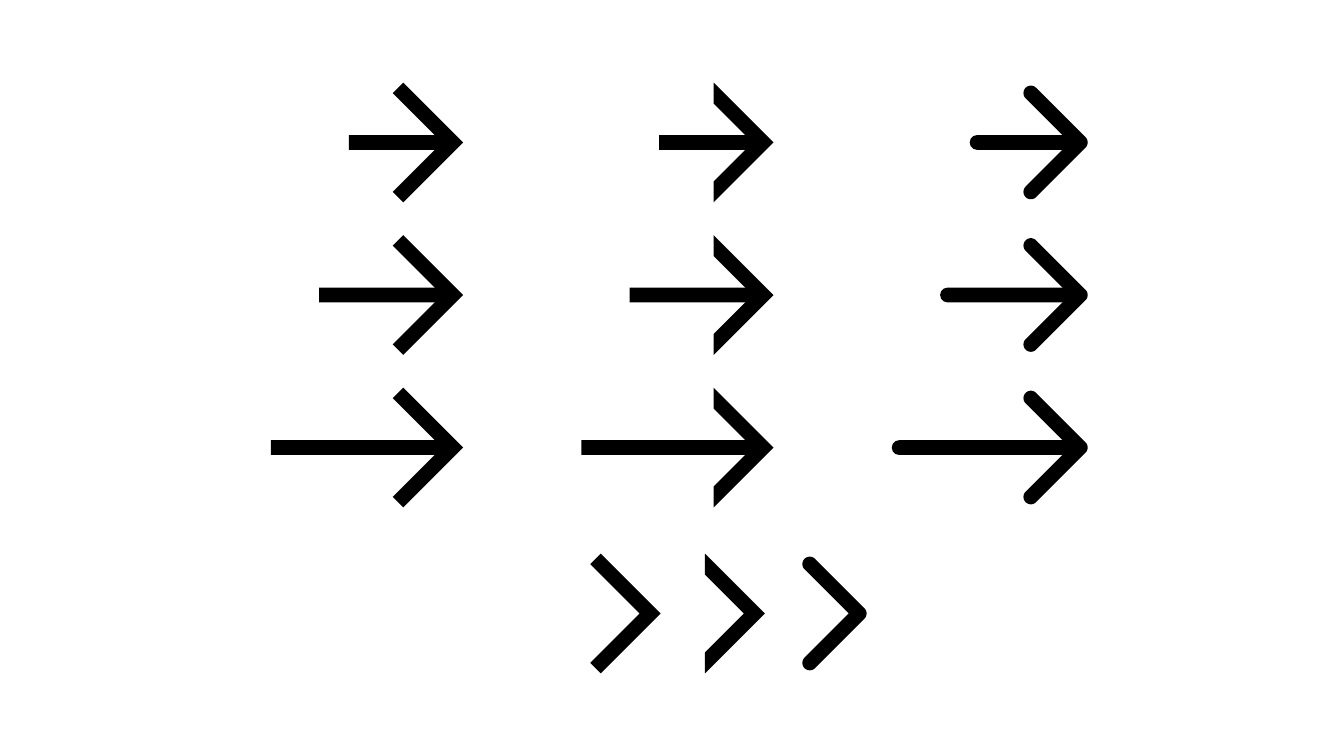
import math

import pptx
import pptx.dml.color
import pptx.enum.shapes
import pptx.util

Inches = pptx.util.Inches
KIND = pptx.enum.shapes.MSO_SHAPE

SIDE = 1.26   # square that holds an arrowhead before it is turned
THICK = 0.22  # stroke of heads and bars
RAD = THICK / 2
INNER = SIDE - THICK


def color(code):
    return pptx.dml.color.RGBColor.from_string(code)


def arc(x, y, start, end, steps=24):
    """Points of a round end about (x, y), angles in degrees, clockwise."""
    turns = [math.radians(start + (end - start) * i / steps) for i in range(steps + 1)]
    return [(x + RAD * math.cos(t), y + RAD * math.sin(t)) for t in turns]


# Head outlines: corners that point right once turned
FAR = SIDE - RAD
SQUARE = [(SIDE, 0), (SIDE, SIDE), (0, SIDE), (0, INNER), (INNER, INNER), (INNER, 0)]
BEVEL = [(SIDE, 0), (SIDE, SIDE), (0, SIDE), (THICK, INNER), (INNER, INNER), (INNER, THICK)]
ROUND = (arc(FAR, RAD, -90, 0) + arc(FAR, FAR, 0, 180)
         + [(INNER, THICK)] + arc(RAD, RAD, 90, 270))


class Deck:
    ink = "000000"

    def __init__(self, width, height):
        self.file = pptx.Presentation()
        self.file.slide_width = Inches(width)
        self.file.slide_height = Inches(height)
        self.slide = self.file.slides.add_slide(self.file.slide_layouts[6])
        self.shapes = self.slide.shapes

    def dress(self, shape, look):
        shape.shadow.inherit = False
        shape.fill.solid()
        shape.fill.fore_color.rgb = color(self.ink)
        shape.line.fill.background()
        for key, value in look.items():
            setattr(shape, key, value)
        return shape

    def head(self, left, top, points, turn):
        spots = [(Inches(x), Inches(y)) for x, y in points]
        pen = self.shapes.build_freeform(*spots[0])
        pen.add_line_segments(spots[1:], close=True)
        shape = pen.convert_to_shape(Inches(left), Inches(top))
        return self.dress(shape, {"rotation": turn})

    def bar(self, right, top, width, kind):
        shape = self.shapes.add_shape(
            kind, Inches(right - width), Inches(top), Inches(width), Inches(THICK))
        if kind == KIND.ROUNDED_RECTANGLE:
            shape.adjustments[0] = 0.5
        return self.dress(shape, {})

    def group(self, parts):
        self.shapes.add_group_shape(parts)


def main():
    deck = Deck(20, 11.25)

    # Style: outline, turn, bar kind, bar end, head left, chevron left
    styles = [
        (SQUARE, 315, KIND.RECTANGLE, 6.71, 5.37, 8.31),
        (BEVEL, 315, KIND.RECTANGLE, 11.33, 9.99, 9.86),
        (ROUND, 45, KIND.ROUNDED_RECTANGLE, 15.95, 14.71, 11.42),
    ]
    widths = [1.52, 1.96, 2.68]

    # Arrows: one column per style, longer row by row
    for points, turn, kind, right, left, _ in styles:
        for row, width in enumerate(widths):
            top = 1.49 + 2.27 * row
            makers = [
                lambda: deck.bar(right, top + (SIDE - THICK) / 2, width, kind),
                lambda: deck.head(left, top, points, turn),
            ]
            if points is ROUND:
                makers.reverse()
            deck.group([make() for make in makers])

    # Chevrons: heads alone
    for points, turn, _, _, _, left in styles:
        deck.head(left, 8.5, points, turn)

    deck.file.save("out.pptx")


if __name__ == "__main__":
    main()
